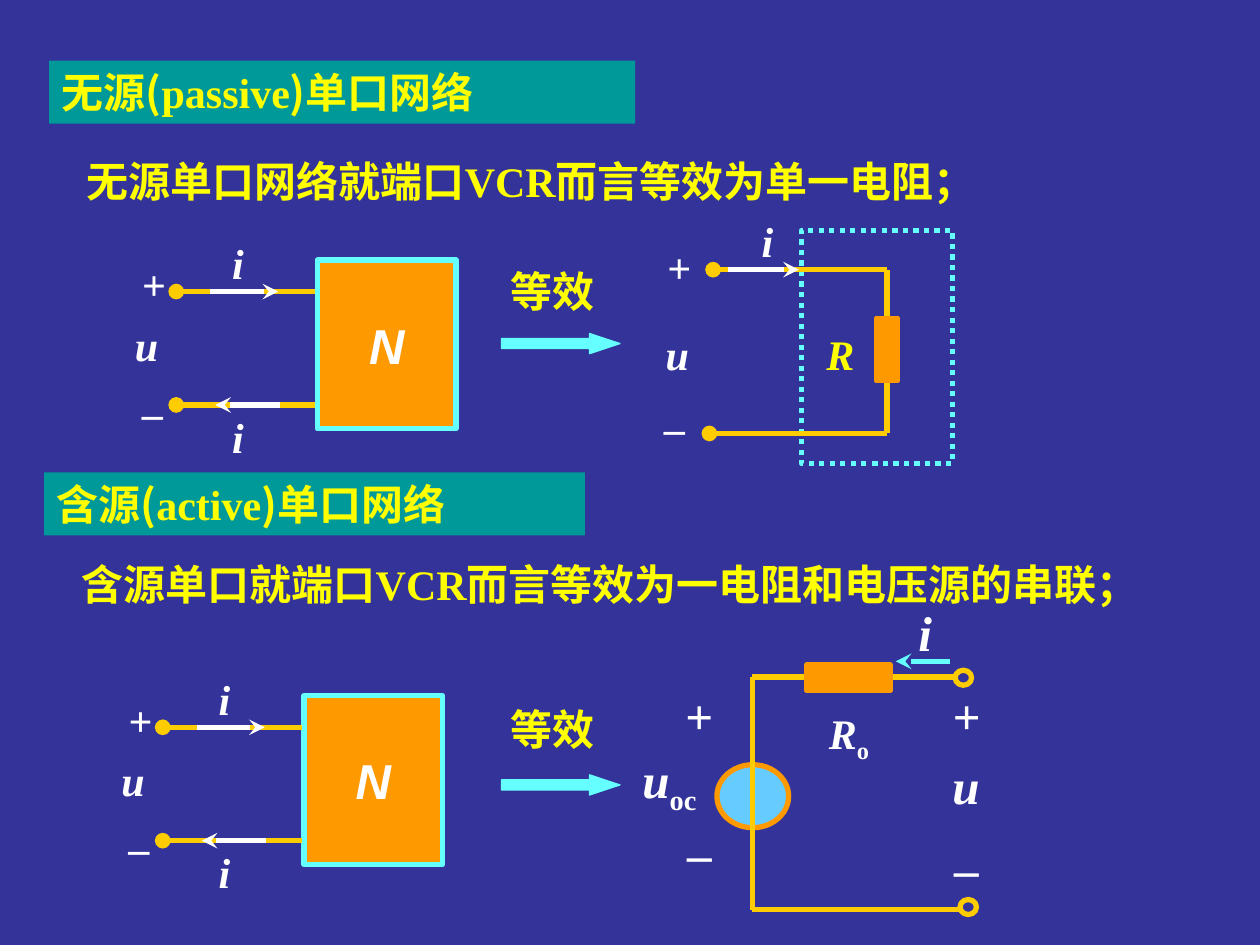
from dataclasses import dataclass

from lxml.etree import SubElement
from pptx import Presentation
from pptx.dml.color import RGBColor
from pptx.enum.dml import MSO_LINE
from pptx.enum.shapes import MSO_CONNECTOR, MSO_SHAPE
from pptx.enum.text import MSO_ANCHOR, MSO_AUTO_SIZE, PP_ALIGN
from pptx.oxml.ns import qn
from pptx.util import Pt


@dataclass(frozen=True)
class Theme:
    background: RGBColor = RGBColor.from_string("333399")
    band: RGBColor = RGBColor.from_string("009999")
    heading: RGBColor = RGBColor.from_string("FFFF00")
    label: RGBColor = RGBColor.from_string("FFFFFF")
    wire: RGBColor = RGBColor.from_string("FFCC00")
    component: RGBColor = RGBColor.from_string("FF9900")
    accent: RGBColor = RGBColor.from_string("66FFFF")
    voltage: RGBColor = RGBColor.from_string("66CCFF")
    sans: str = "Arial"
    serif: str = "Times New Roman"
    chinese: str = "Noto Sans CJK SC"
    normal: int = 24
    large: int = 28
    stroke: float = 3


THEME = Theme()


def place(shape, left, top, width, height):
    shape.left, shape.top = Pt(left), Pt(top)
    shape.width, shape.height = Pt(width), Pt(height)


def write(shape, runs, size=THEME.normal, color=THEME.label, font=None,
          italic=False, align=PP_ALIGN.CENTER):
    """Write one bold line; each run is (text, font name, is subscript)."""
    frame = shape.text_frame
    frame.word_wrap = True
    frame.auto_size = MSO_AUTO_SIZE.NONE
    frame.vertical_anchor = MSO_ANCHOR.MIDDLE
    paragraph = frame.paragraphs[0]
    paragraph.alignment = align
    paragraph.font.size = Pt(size)
    paragraph.font.bold = True
    paragraph.font.color.rgb = color
    if font:
        paragraph.font.name = font
        paragraph.font.italic = italic
    for text, name, subscript in runs:
        run = paragraph.add_run()
        run.text = text
        if name:
            run.font.name = name
        if subscript:
            run.font.italic = False
            run._r.get_or_add_rPr().set("baseline", "-25000")


def add_label(slide, box, text, subscript="", font=THEME.serif, italic=True, **style):
    shape = slide.shapes.add_textbox(*map(Pt, box))
    runs = [(text, None, False)]
    if subscript:
        runs.append((subscript, None, True))
    write(shape, runs, font=font, italic=italic, **style)


def add_component(slide, kind, box, fill=None, line=THEME.component,
                  width=THEME.stroke):
    shape = slide.shapes.add_shape(kind, *map(Pt, box))
    shape.shadow.inherit = False
    if fill is None:
        shape.fill.background()
    else:
        shape.fill.solid()
        shape.fill.fore_color.rgb = fill
    shape.line.color.rgb = line
    shape.line.width = Pt(width)
    return shape


def add_line(slide, start, end, color=THEME.wire, head=None, tail=None):
    connector = slide.shapes.add_connector(
        MSO_CONNECTOR.STRAIGHT, *map(Pt, (*start, *end)))
    connector.line.color.rgb = color
    connector.line.width = Pt(THEME.stroke)
    line = connector.line._get_or_add_ln()
    for tag, kind in (("a:headEnd", head), ("a:tailEnd", tail)):
        if kind:
            SubElement(line, qn(tag), type=kind)
    SubElement(connector._element.spPr, qn("a:effectLst"))


def mover(left, top):
    """Give a function that shifts a point or box into a region."""
    return lambda x, y, *size: (left + x, top + y, *size)


def fill_heading(shape, box, first, english):
    place(shape, *box)
    shape.fill.solid()
    shape.fill.fore_color.rgb = THEME.band
    runs = [(first, THEME.sans, False), ("(", THEME.chinese, False),
            (english, THEME.serif, False), (")", THEME.chinese, False),
            ("单口网络", THEME.sans, False)]
    write(shape, runs, color=THEME.heading, align=PP_ALIGN.LEFT)


def add_statement(slide, box, before, after):
    runs = [(before, THEME.sans, False), ("VCR", THEME.serif, False),
            (after, THEME.sans, False)]
    write(slide.shapes.add_textbox(*map(Pt, box)), runs,
          color=THEME.heading, align=PP_ALIGN.LEFT)


def add_network(slide, left, top):
    at = mover(left, top)
    upper, lower = 34.6, 99.4
    # Network block
    block = add_component(slide, MSO_SHAPE.RECTANGLE, at(117.4, 16.6, 79.2, 96.5),
                          THEME.component, THEME.accent)
    write(block, [("N", None, False)], THEME.large, font=THEME.sans, italic=True)
    # Port wires, current arrows and current labels
    for y, start, end, label_top in ((upper, 56.2, 95, 0), (lower, 95.8, 59, lower)):
        add_line(slide, at(36.7, y), at(116, y), head="oval")
        add_line(slide, at(start, y), at(end, y), THEME.label, tail="stealth")
        add_label(slide, at(53.3, label_top, 37.4, 36), "i")
    # Port voltage
    add_label(slide, at(10, 12.2, 28, 36), "+", italic=False)
    add_label(slide, at(0, 46.8, 39.6, 36), "u")
    add_label(slide, at(10, 77, 23, 36), "_", italic=False)


def add_passive_equivalent(slide, left, top):
    at = mover(left, top)
    upper, lower, right = 34.6, 128.2, 140.4
    # Dotted frame and wires
    frame = add_component(slide, MSO_SHAPE.RECTANGLE, at(91.4, 12.2, 86.4, 133.2),
                          line=THEME.accent)
    frame.line.dash_style = MSO_LINE.ROUND_DOT
    add_line(slide, at(right, upper), at(right, lower))
    add_line(slide, at(41, upper), at(right, upper), head="oval")
    add_line(slide, at(38.9, lower), at(right, lower), head="oval")
    # Resistor
    add_component(slide, MSO_SHAPE.RECTANGLE, at(134.3, 62.2, 12.2, 36),
                  THEME.component, width=2.25)
    add_label(slide, at(98.6, 64.8, 30.2, 36), "R", color=THEME.heading,
              align=PP_ALIGN.LEFT)
    # Port current and voltage
    add_line(slide, at(49.7, upper), at(90, upper), THEME.label, tail="stealth")
    add_label(slide, at(52.6, 0, 39, 36), "i")
    add_label(slide, at(7.2, 15.1, 29, 36), "+", italic=False)
    add_label(slide, at(0, 64.8, 41, 36), "u")
    add_label(slide, at(5.8, 98.6, 24, 36), "_", italic=False)


def add_active_equivalent(slide, left, top):
    at = mover(left, top)
    upper, lower, wire_left = 46.4, 179.3, 69.8
    # Voltage source with its wire
    add_component(slide, MSO_SHAPE.OVAL, at(49.7, 96.5, 41, 36), THEME.voltage)
    add_line(slide, at(wire_left, upper), at(wire_left, lower))
    add_line(slide, at(wire_left, upper), at(185.8, upper))
    add_line(slide, at(wire_left, lower), at(188.6, lower))
    # Open terminals and resistor
    for x, y in ((185.8, 42.5), (188.6, 173.5)):
        add_component(slide, MSO_SHAPE.OVAL, at(x, y, 9.4, 8.6), line=THEME.wire)
    add_component(slide, MSO_SHAPE.RECTANGLE, at(100.8, 39.6, 48.2, 14.4),
                  THEME.component)
    add_label(slide, at(106.6, 59.8, 45.4, 40.3), "R", "o", align=PP_ALIGN.LEFT)
    # Port current
    add_line(slide, at(182.9, 37.4), at(151.9, 37.4), THEME.accent, tail="stealth")
    # Source voltage
    for text, y in (("+", 47.5), ("_", 116.6)):
        add_label(slide, at(24.5, y, 30.2, 41), text, italic=False, size=THEME.large)
    add_label(slide, at(0, 84.2, 49.7, 45.4), "u", "oc", size=THEME.large,
              align=PP_ALIGN.LEFT)
    # Port current and voltage labels
    for text, x, y in (("i", 157.7, 0), ("+", 177.1, 47.5),
                       ("u", 177.1, 87.8), ("_", 180, 125.3)):
        add_label(slide, at(x, y, 41, 41), text, size=THEME.large, align=PP_ALIGN.LEFT)


def add_equivalence(slide, left, top, arrow_top):
    add_label(slide, (left, top, 81.4, 36), "等效", font=THEME.sans, italic=False,
              color=THEME.heading, align=PP_ALIGN.LEFT)
    arrow = add_component(slide, MSO_SHAPE.RIGHT_ARROW,
                          (left + 2.2, arrow_top, 67.7, 11.5),
                          THEME.accent, THEME.accent, 0.75)
    arrow.adjustments[1] = 1.51


def main():
    presentation = Presentation()
    presentation.slide_width, presentation.slide_height = Pt(720), Pt(540)
    slide = presentation.slides.add_slide(presentation.slide_layouts[5])
    slide.background.fill.solid()
    slide.background.fill.fore_color.rgb = THEME.background

    # Passive one-port
    fill_heading(slide.shapes.title, (28.1, 34.6, 334.8, 36), "无源", "passive")
    add_statement(slide, (42.5, 85, 601.2, 36), "无源单口网络就端口", "而言等效为单一电阻；")
    add_network(slide, 64, 132)
    add_equivalence(slide, 284.4, 148.3, 190.6)
    add_passive_equivalent(slide, 366.5, 119.5)

    # Active one-port
    active_heading = slide.shapes.add_textbox(0, 0, 0, 0)
    fill_heading(active_heading, (25.2, 270, 309, 36), "含源", "active")
    add_statement(slide, (39.6, 315.4, 644.4, 36),
                  "含源单口就端口", "而言等效为一电阻和电压源的串联；")
    add_network(slide, 56.3, 381)
    add_equivalence(slide, 284.4, 398.2, 442.8)
    add_active_equivalent(slide, 360, 340.5)
    presentation.save("out.pptx")


if __name__ == "__main__":
    main()
